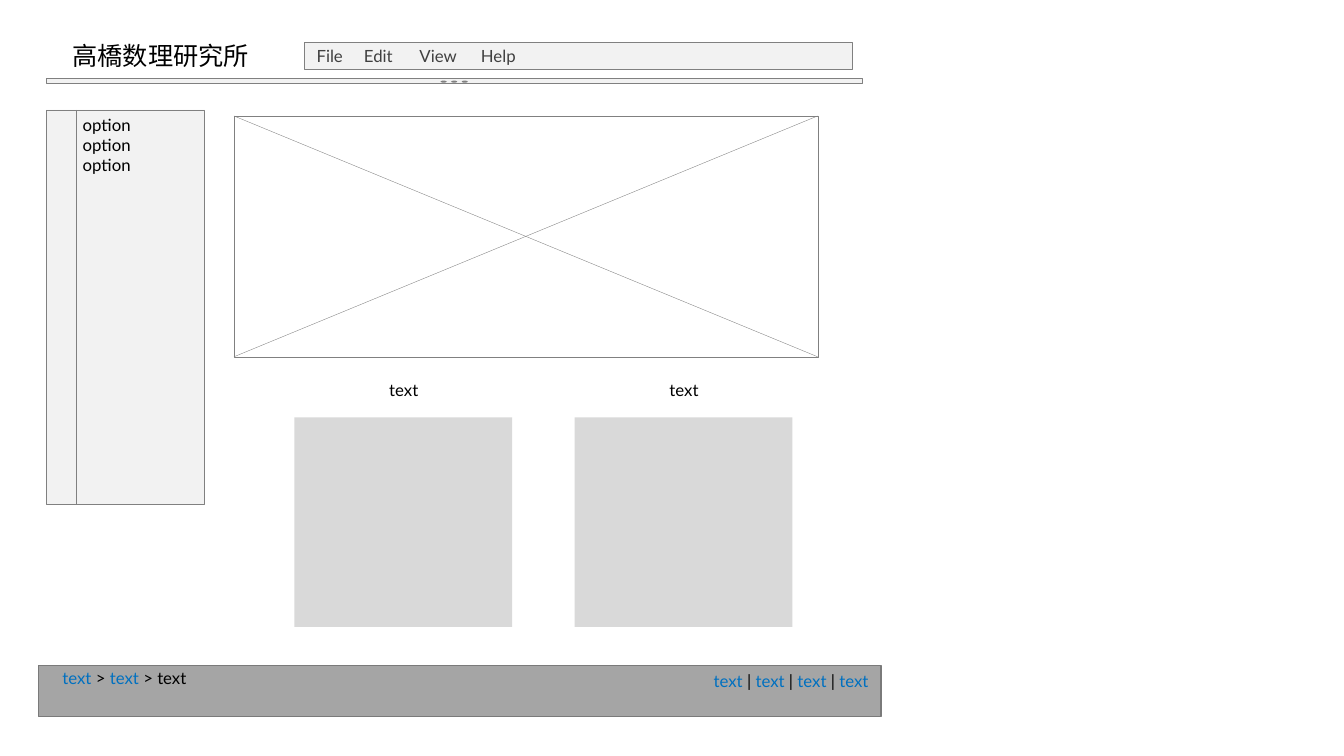
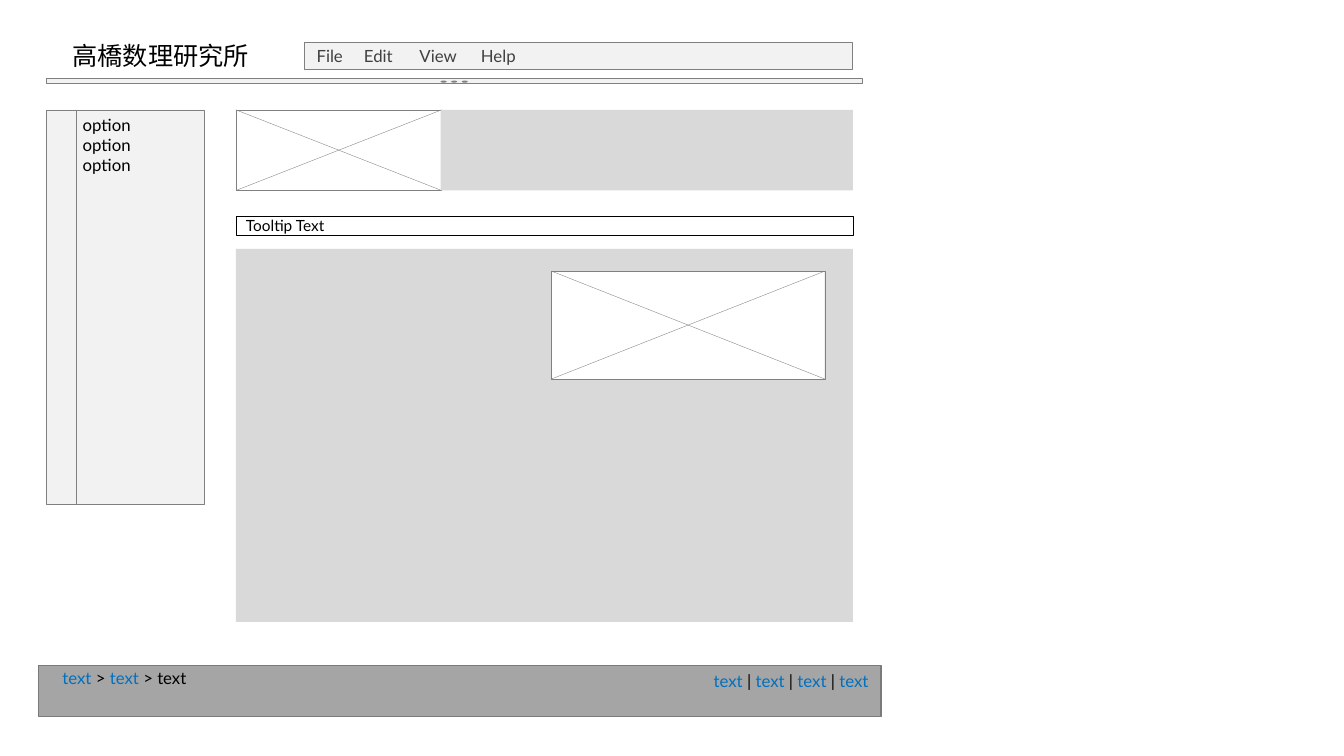
from lxml import etree
from pptx import Presentation
from pptx.dml.color import RGBColor
from pptx.enum.shapes import MSO_CONNECTOR, MSO_SHAPE
from pptx.enum.text import MSO_ANCHOR, MSO_AUTO_SIZE, PP_ALIGN
from pptx.oxml.ns import qn
from pptx.util import Inches, Pt

BLACK = RGBColor(0x00, 0x00, 0x00)
WHITE = RGBColor(0xFF, 0xFF, 0xFF)
LINK_BLUE = RGBColor(0x00, 0x70, 0xC0)
MENU_TEXT = RGBColor(0x40, 0x40, 0x40)
OUTLINE = RGBColor(0x80, 0x80, 0x80)
PANEL = RGBColor(0xF2, 0xF2, 0xF2)
BLOCK = RGBColor(0xD9, 0xD9, 0xD9)
FOOTER = RGBColor(0xA5, 0xA5, 0xA5)
FOOTER_EDGE = RGBColor(0x7A, 0x7A, 0x7A)

LATIN_FONT = "Lato"
CJK_FONT = "Noto Sans CJK JP"
HAIRLINE = 0.25
DEFAULT_INSETS = (0.1, 0.05, 0.1, 0.05)
LABEL_INSETS = (0.05, 0.02, 0.05, 0.03)
FOOTER_INSETS = (0.1, 0.02, 0.1, 0.05)


def add_box(shapes, at, fill, edge=None, weight=HAIRLINE, kind=MSO_SHAPE.RECTANGLE):
    """Add a flat preset shape with an optional outline."""
    box = shapes.add_shape(kind, *map(Inches, at))
    box.shadow.inherit = False
    box.fill.solid()
    box.fill.fore_color.rgb = fill
    if edge is None:
        box.line.fill.background()
    else:
        box.line.color.rgb = edge
        box.line.width = Pt(weight)
    return box


def add_line(shapes, start, end):
    """Add a grey hairline between two points."""
    line = shapes.add_connector(MSO_CONNECTOR.STRAIGHT, *map(Inches, start + end))
    line.line.color.rgb = OUTLINE
    line.line.width = Pt(HAIRLINE)
    etree.SubElement(line._element.spPr, qn("a:effectLst"))


def write(holder, paragraphs, size=12, font=LATIN_FONT, insets=DEFAULT_INSETS,
          anchor=MSO_ANCHOR.TOP, align=PP_ALIGN.LEFT, wrap=True):
    """Fill a shape with paragraphs given as lists of text and colour pairs."""
    frame = holder.text_frame
    frame.word_wrap = wrap
    frame.auto_size = MSO_AUTO_SIZE.NONE if wrap else MSO_AUTO_SIZE.SHAPE_TO_FIT_TEXT
    frame.vertical_anchor = anchor
    (frame.margin_left, frame.margin_top,
     frame.margin_right, frame.margin_bottom) = map(Inches, insets)
    frame.text = "\n".join("" for _ in paragraphs)
    for paragraph, pieces in zip(frame.paragraphs, paragraphs):
        paragraph.alignment = align
        for text, color in pieces:
            run = paragraph.add_run()
            run.text = text
            run.font.size = Pt(size)
            run.font.name = font
            run.font.color.rgb = color
            east_asian = etree.SubElement(run.font._element, qn("a:ea"))
            east_asian.set("typeface", font)


def add_text(shapes, at, paragraphs, **style):
    """Add a text box holding the paragraphs."""
    write(shapes.add_textbox(*map(Inches, at)), paragraphs, **style)


def set_tabs(paragraph, stops):
    """Give a paragraph left tab stops at distances in inches."""
    tabs = etree.SubElement(paragraph._p.get_or_add_pPr(), qn("a:tabLst"))
    for stop in stops:
        etree.SubElement(tabs, qn("a:tab"), pos=str(Inches(stop)), algn="l")


def add_menu(shapes):
    """Add the menu bar."""
    menu = add_box(shapes, (3.02, 0.42, 5.43, 0.27), PANEL, OUTLINE)
    write(menu, [[("File\tEdit\tView\tHelp", MENU_TEXT)]],
          insets=(0.12, 0.05, 0.1, 0.05), anchor=MSO_ANCHOR.MIDDLE)
    set_tabs(menu.text_frame.paragraphs[0], (0.47, 1.02, 1.63))


def add_splitter(shapes):
    """Add the divider bar with its three grip dots."""
    splitter = shapes.add_group_shape().shapes
    add_box(splitter, (0.46, 0.78, 8.09, 0.05), PANEL, OUTLINE)
    for index in range(3):
        add_box(splitter, (4.37 + 0.105 * index, 0.8, 0.06, 0.02), OUTLINE,
                kind=MSO_SHAPE.OVAL)


def add_sidebar(shapes):
    """Add the option list with its narrow gutter."""
    left, top, width, height, gutter = 0.46, 1.09, 1.57, 3.91, 0.3
    sidebar = shapes.add_group_shape().shapes
    add_box(sidebar, (left, top, width, height), PANEL, OUTLINE)
    add_line(sidebar, (left + gutter, top), (left + gutter, top + height))
    add_text(sidebar, (left + gutter, top, width - gutter, height),
             [[("option", BLACK)]] * 3, insets=(0.06, 0.05, 0.05, 0.03))


def add_footer_links(shapes):
    """Add the breadcrumb and the link row."""
    breadcrumb = [("text ", LINK_BLUE), ("> ", BLACK),
                  ("text", LINK_BLUE), (" > text", BLACK)]
    links = [("text ", LINK_BLUE), ("| ", BLACK)] * 3 + [("text ", LINK_BLUE)]
    for at, pieces in (((0.52, 6.6, 1.45, 0.27), breadcrumb),
                       ((6.98, 6.63, 1.76, 0.27), links)):
        add_text(shapes, at, [pieces], insets=FOOTER_INSETS,
                 anchor=MSO_ANCHOR.MIDDLE, wrap=False)


def add_image_slot(shapes, left, top, width, height):
    """Add a white frame crossed by its two diagonals."""
    slot = shapes.add_group_shape().shapes
    right, bottom = left + width, top + height
    add_box(slot, (left, top, width, height), WHITE, OUTLINE)
    add_line(slot, (left, top), (right, bottom))
    add_line(slot, (left, bottom), (right, top))


def add_card(shapes, left):
    """Add a grey tile with a centred label above it."""
    card = shapes.add_group_shape().shapes
    add_box(card, (left, 4.14, 2.16, 2.08), BLOCK)
    add_text(card, (left - 1.5, 3.75, 5.17, 3.61), [[("text", BLACK)]],
             insets=LABEL_INSETS, align=PP_ALIGN.CENTER)


def add_page(deck):
    """Add a slide with the shared page frame and return its shapes."""
    shapes = deck.slides.add_slide(deck.slide_layouts[6]).shapes
    add_box(shapes, (0.38, 6.6, 8.36, 0.51), FOOTER, FOOTER_EDGE, 1)
    add_menu(shapes)
    add_text(shapes, (0.62, 0.35, 1.97, 0.4), [[("高橋数理研究所", BLACK)]],
             size=18, font=CJK_FONT, wrap=False)
    add_splitter(shapes)
    add_sidebar(shapes)
    add_footer_links(shapes)
    return shapes


def build_home(deck):
    """Build the page with a large banner and two cards."""
    shapes = add_page(deck)
    for left in (2.92, 5.7):
        add_card(shapes, left)
    add_image_slot(shapes, 2.32, 1.15, 5.79, 2.39)


def build_article(deck):
    """Build the page with a header strip, a tooltip and a body block."""
    shapes = add_page(deck)
    left, width = 2.34, 6.12
    add_image_slot(shapes, left, 1.09, 2.04, 0.8)
    tooltip = add_box(shapes, (left, 2.14, width, 0.19), WHITE, BLACK)
    write(tooltip, [[("Tooltip Text", BLACK)]], size=11, anchor=MSO_ANCHOR.MIDDLE)
    add_box(shapes, (left, 2.47, width, 3.7), BLOCK)
    add_image_slot(shapes, 5.47, 2.69, 2.71, 1.07)
    add_box(shapes, (4.37, 1.09, 4.09, 0.8), BLOCK)


def main():
    """Build and save the deck."""
    deck = Presentation()
    deck.slide_width = Inches(13.33)
    deck.slide_height = Inches(7.5)
    build_home(deck)
    build_article(deck)
    deck.save("out.pptx")


main()
